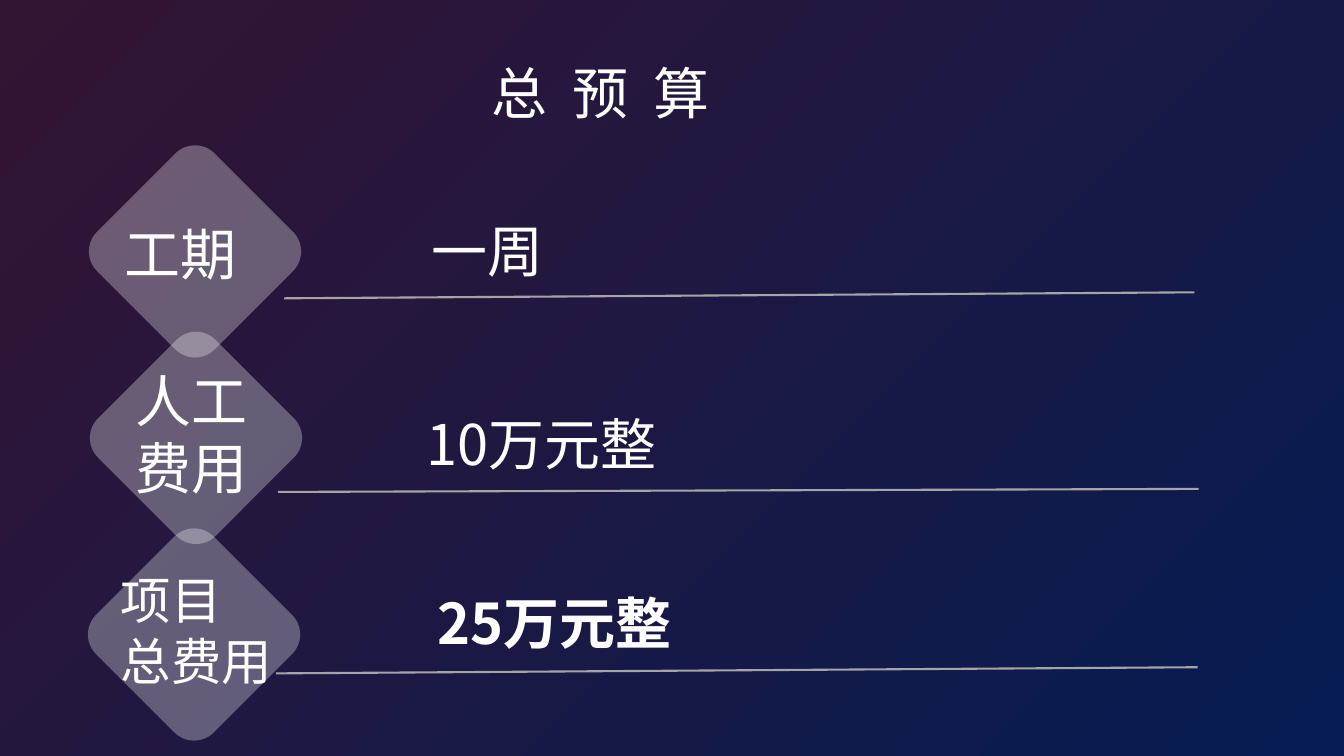
from lxml import etree
from pptx import Presentation
from pptx.dml.color import RGBColor
from pptx.enum import shapes, text
from pptx.oxml import ns
from pptx.util import Pt

FONT = "Noto Sans CJK SC"
HUES = {"white": "FFFFFF", "rule": "A5A5A5", "plum": "331433", "navy": "061C52"}
DIAMONDS = [(79.9, 120.2), (80.6, 253.4), (79.2, 393.8)]
RULES = [(203, 213.1, 853.2, 208.8), (198.7, 351.4, 856.1, 349.2),
         (197.3, 481, 855.4, 476.6)]
LABELS = [("工期", (82.1, 153.4, 116.6, 55.4), 40),
          ("人工费用", (90, 258.5, 118.8, 103.7), 40),
          ("项目\n总费用", (79.2, 403.2, 218.2, 93.6), 36)]
VALUES = [("一周", (301, 151.2, 632.2, 55.4), False),
          ("10万元整", (297.4, 288.7, 369.4, 55.4), False),
          ("25万元整", (305.3, 416.9, 378.7, 82.1), True)]


def hue(name):
    """Return a named colour."""
    return RGBColor.from_string(HUES[name])


def write(shape, words, size=40, bold=False, space=0):
    """Fill a shape with left-aligned white text."""
    frame = shape.text_frame
    frame.word_wrap = True
    frame.auto_size = text.MSO_AUTO_SIZE.NONE
    frame.vertical_anchor = text.MSO_ANCHOR.TOP
    frame.text = words
    for para in frame.paragraphs:
        para.alignment = text.PP_ALIGN.LEFT
        for run in para.runs:
            font = run.font
            font.size, font.bold, font.name = Pt(size), bold, FONT
            font.color.rgb = hue("white")
            props = run._r.get_or_add_rPr()
            etree.SubElement(props, ns.qn("a:ea"), typeface=FONT)
            if space:
                props.set("spc", str(space * 100))


def label(slide, words, box, **style):
    """Add a text box."""
    write(slide.shapes.add_textbox(*map(Pt, box)), words, **style)


def diamond(slide, left, top, side=118.8):
    """Add a turned, see-through rounded square."""
    shape = slide.shapes.add_shape(
        shapes.MSO_SHAPE.ROUNDED_RECTANGLE, Pt(left), Pt(top), Pt(side), Pt(side))
    shape.rotation = 45
    shape.shadow.inherit = False
    shape.fill.solid()
    shape.fill.fore_color.rgb = hue("white")
    shape.line.fill.background()
    tint = shape._element.spPr.find(".//" + ns.qn("a:srgbClr"))
    etree.SubElement(tint, ns.qn("a:alpha"), val="30000")


def rule(slide, *ends):
    """Add a thin grey line."""
    line = slide.shapes.add_connector(
        shapes.MSO_CONNECTOR.STRAIGHT, *map(Pt, ends))
    line.line.color.rgb = hue("rule")
    line.line.width = Pt(1.5)
    etree.SubElement(line._element.spPr, ns.qn("a:effectLst"))


def paint(slide):
    """Give the slide its diagonal gradient."""
    fill = slide.background.fill
    fill.gradient()
    fill.gradient_angle = 315
    for stop, name in zip(fill.gradient_stops, ("plum", "navy")):
        stop.color.rgb = hue(name)


def main():
    """Build the budget slide."""
    deck = Presentation()
    deck.slide_width, deck.slide_height = Pt(960), Pt(540)
    slide = deck.slides.add_slide(deck.slide_layouts[5])
    paint(slide)
    title = slide.shapes.title
    title.left, title.top, title.width, title.height = map(
        Pt, (344.2, 38.2, 458.6, 55.4))
    write(title, "总 预 算", space=4.5)
    for spot in DIAMONDS:
        diamond(slide, *spot)
    for ends in RULES:
        rule(slide, *ends)
    for words, box, size in LABELS:
        label(slide, words, box, size=size)
    for words, box, bold in VALUES:
        label(slide, words, box, bold=bold)
    deck.save("out.pptx")


if __name__ == "__main__":
    main()
